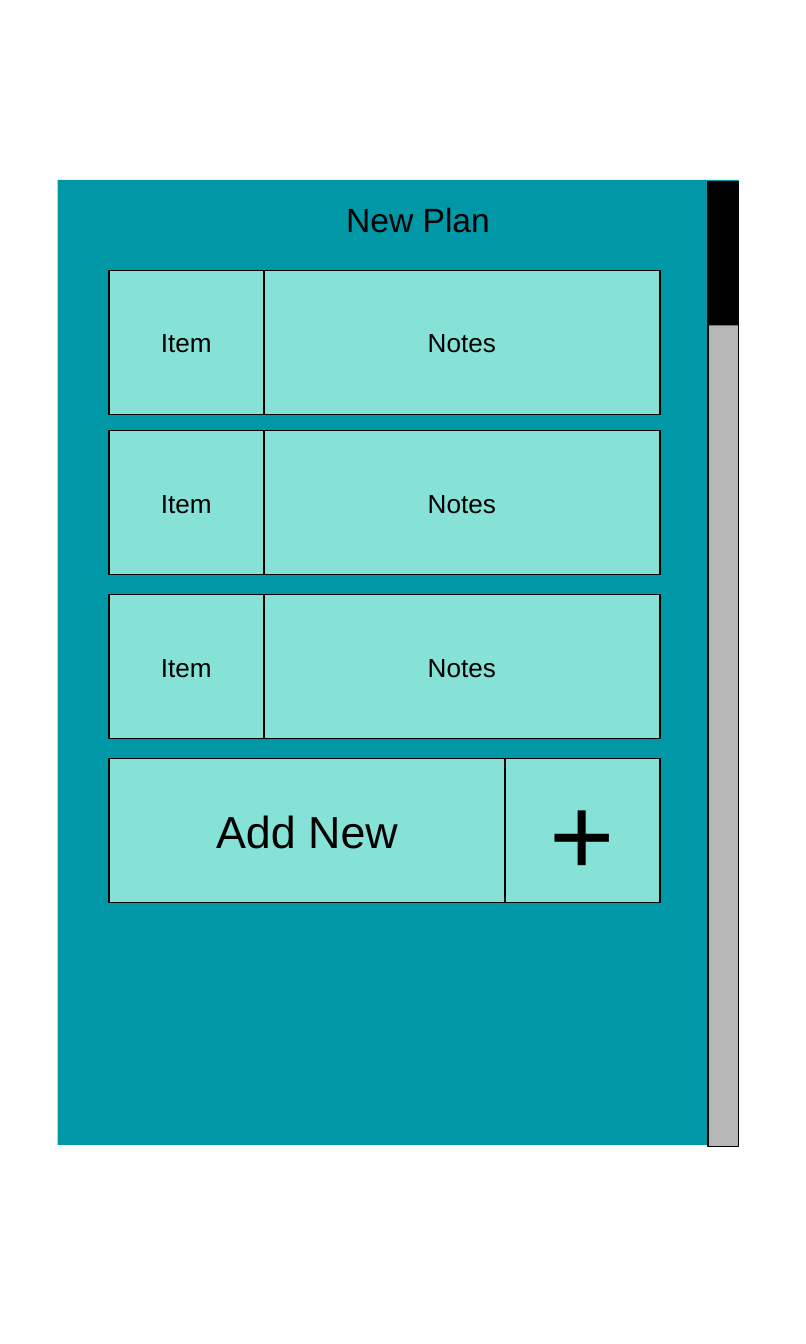
"""Build the New Plan screen wireframe."""
from pptx import Presentation
from pptx.dml.color import RGBColor
from pptx.enum.shapes import MSO_SHAPE
from pptx.enum.text import MSO_ANCHOR, PP_ALIGN
from pptx.util import Cm, Pt

TEAL, MINT, GREY, BLACK = "0097A7", "86E1D6", "B7B7B7", "000000"
ROW_LEFT, ROW_HEIGHT = 2.06, 2.72
NARROW, WIDE = 2.93, 7.49
ITEM_TOPS = (5.11, 8.14, 11.24)
ADD_TOP = 14.34


def colour(value):
    return RGBColor.from_string(value)


def write(shape, text, size):
    frame = shape.text_frame
    frame.text = text
    frame.word_wrap = True
    frame.vertical_anchor = MSO_ANCHOR.MIDDLE
    frame.margin_left = frame.margin_right = Cm(0.25)
    frame.margin_top = frame.margin_bottom = Cm(0.25)
    paragraph = frame.paragraphs[0]
    paragraph.alignment = PP_ALIGN.CENTER
    font = paragraph.runs[0].font
    font.name = "Arial"
    font.size = Pt(size)
    font.color.rgb = colour(BLACK)


def add_box(slide, left, top, width, height, fill, outlined=True):
    box = slide.shapes.add_shape(
        MSO_SHAPE.RECTANGLE, Cm(left), Cm(top), Cm(width), Cm(height))
    box.shadow.inherit = False
    box.fill.solid()
    box.fill.fore_color.rgb = colour(fill)
    if outlined:
        box.line.color.rgb = colour(BLACK)
        box.line.width = Pt(0.75)
    else:
        box.line.fill.background()
    return box


def add_row(slide, top, cells):
    left = ROW_LEFT
    for text, width, size in cells:
        cell = add_box(slide, left, top, width, ROW_HEIGHT, MINT)
        write(cell, text, size)
        left += width


def place_title(slide, text):
    title = slide.shapes.title
    title.left, title.top = Cm(5.82), Cm(3.58)
    title.width, title.height = Cm(4.17), Cm(1.12)
    write(title, text, 18)
    title.element.getparent().append(title.element)


def add_scrollbar(slide):
    left, top, width = 13.39, 3.43, 0.58
    add_box(slide, left, top, width, 18.24, GREY)
    add_box(slide, left, top, width, ROW_HEIGHT, BLACK, outlined=False)


def main():
    deck = Presentation()
    deck.slide_width, deck.slide_height = Cm(15.24), Cm(25.4)
    slide = deck.slides.add_slide(deck.slide_layouts[5])
    add_box(slide, 1.09, 3.4, 12.88, 18.24, TEAL, outlined=False)
    place_title(slide, "New Plan")
    for top in ITEM_TOPS:
        add_row(slide, top, [("Item", NARROW, 14), ("Notes", WIDE, 14)])
    add_row(slide, ADD_TOP, [("Add New", WIDE, 24), ("+", NARROW, 60)])
    add_scrollbar(slide)
    deck.save("out.pptx")


if __name__ == "__main__":
    main()
